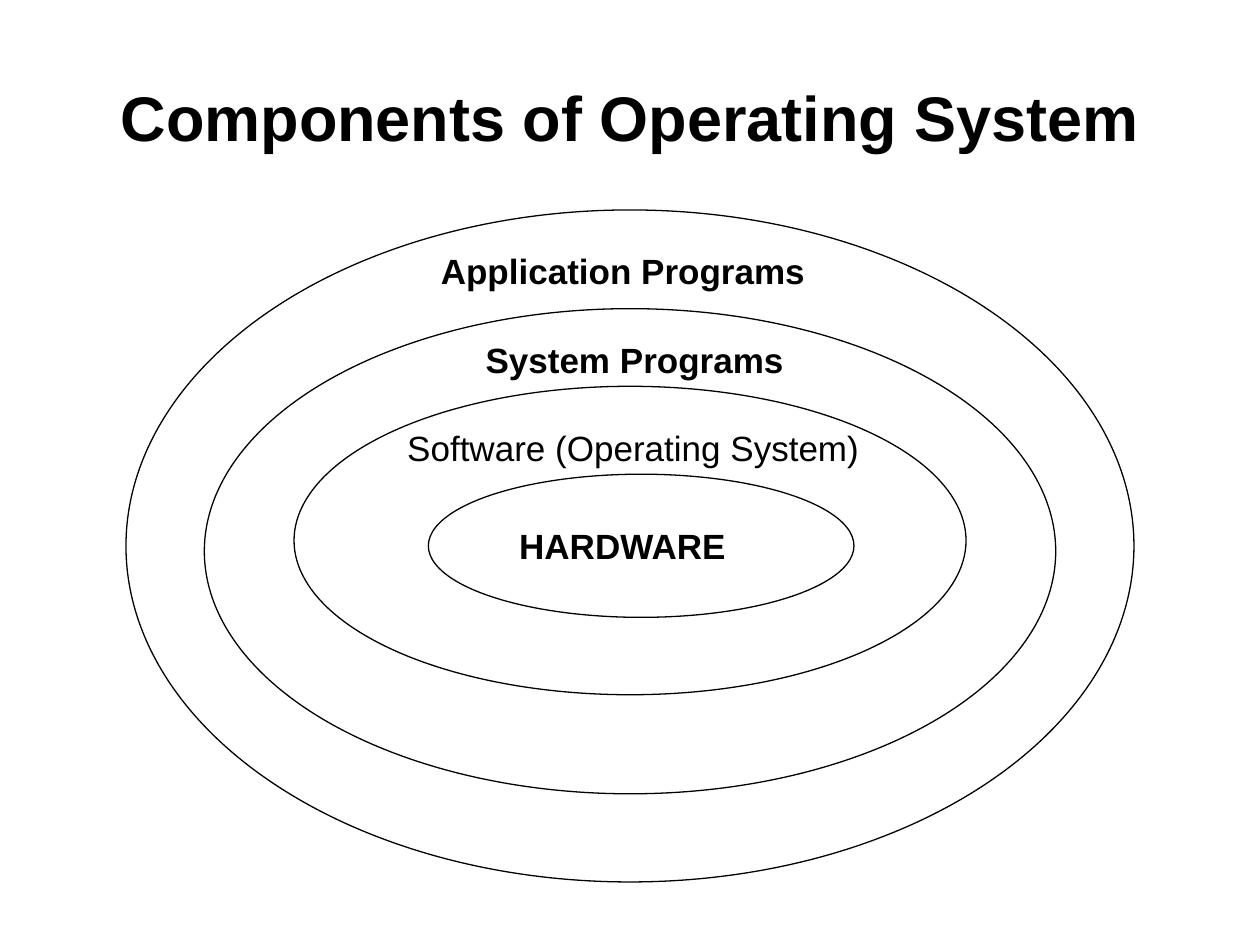
from pptx import Presentation
from pptx.dml.color import RGBColor
from pptx.enum.shapes import MSO_SHAPE
from pptx.enum.text import MSO_ANCHOR, MSO_AUTO_SIZE, PP_ALIGN
from pptx.util import Pt

BLACK = RGBColor(0x00, 0x00, 0x00)

RINGS = [
    (72, 120, 576, 384),
    (116.75, 176.4, 486.5, 277.2),
    (168, 220.75, 384, 176.25),
    (244.8, 271, 243.2, 81.8),
]
LABELS = [
    ("Application Programs", 244.8, 139.2, 262, True),
    ("System Programs", 270.4, 189.6, 256.3, True),
    ("Software (Operating System)", 225.6, 240, 294.5, False),
    ("HARDWARE", 289.6, 296, 160, True),
]


def write_text(frame, text, size=20, bold=True, align=PP_ALIGN.LEFT, anchor=MSO_ANCHOR.TOP):
    frame.word_wrap = True
    frame.vertical_anchor = anchor
    paragraph = frame.paragraphs[0]
    paragraph.alignment = align
    run = paragraph.add_run()
    run.text = text
    run.font.name = "Arial"
    run.font.size = Pt(size)
    run.font.bold = bold
    run.font.color.rgb = BLACK


class SlideBuilder:
    line_width = 0.75
    label_height = 31.5

    def __init__(self, presentation):
        self.slide = presentation.slides.add_slide(presentation.slide_layouts[5])
        self.diagram = self.slide.shapes.add_group_shape()

    def title(self, text, left, top, width, height):
        shape = self.slide.shapes.title
        shape.left, shape.top = Pt(left), Pt(top)
        shape.width, shape.height = Pt(width), Pt(height)
        shape.text_frame.auto_size = MSO_AUTO_SIZE.NONE
        write_text(shape.text_frame, text, size=36, align=PP_ALIGN.CENTER,
                   anchor=MSO_ANCHOR.MIDDLE)

    def ring(self, left, top, width, height):
        shape = self.diagram.shapes.add_shape(
            MSO_SHAPE.OVAL, Pt(left), Pt(top), Pt(width), Pt(height))
        shape.shadow.inherit = False
        shape.fill.background()
        shape.line.color.rgb = BLACK
        shape.line.width = Pt(self.line_width)

    def label(self, text, left, top, width, bold):
        shape = self.diagram.shapes.add_textbox(
            Pt(left), Pt(top), Pt(width), Pt(self.label_height))
        shape.text_frame.auto_size = MSO_AUTO_SIZE.SHAPE_TO_FIT_TEXT
        write_text(shape.text_frame, text, bold=bold)


def main():
    presentation = Presentation()
    presentation.slide_width = Pt(720)
    presentation.slide_height = Pt(540)
    builder = SlideBuilder(presentation)
    builder.title("Components of Operating System", 36, 21.6, 648, 90)
    for ring in RINGS:
        builder.ring(*ring)
    for label in LABELS:
        builder.label(*label)
    presentation.save("out.pptx")


if __name__ == "__main__":
    main()
